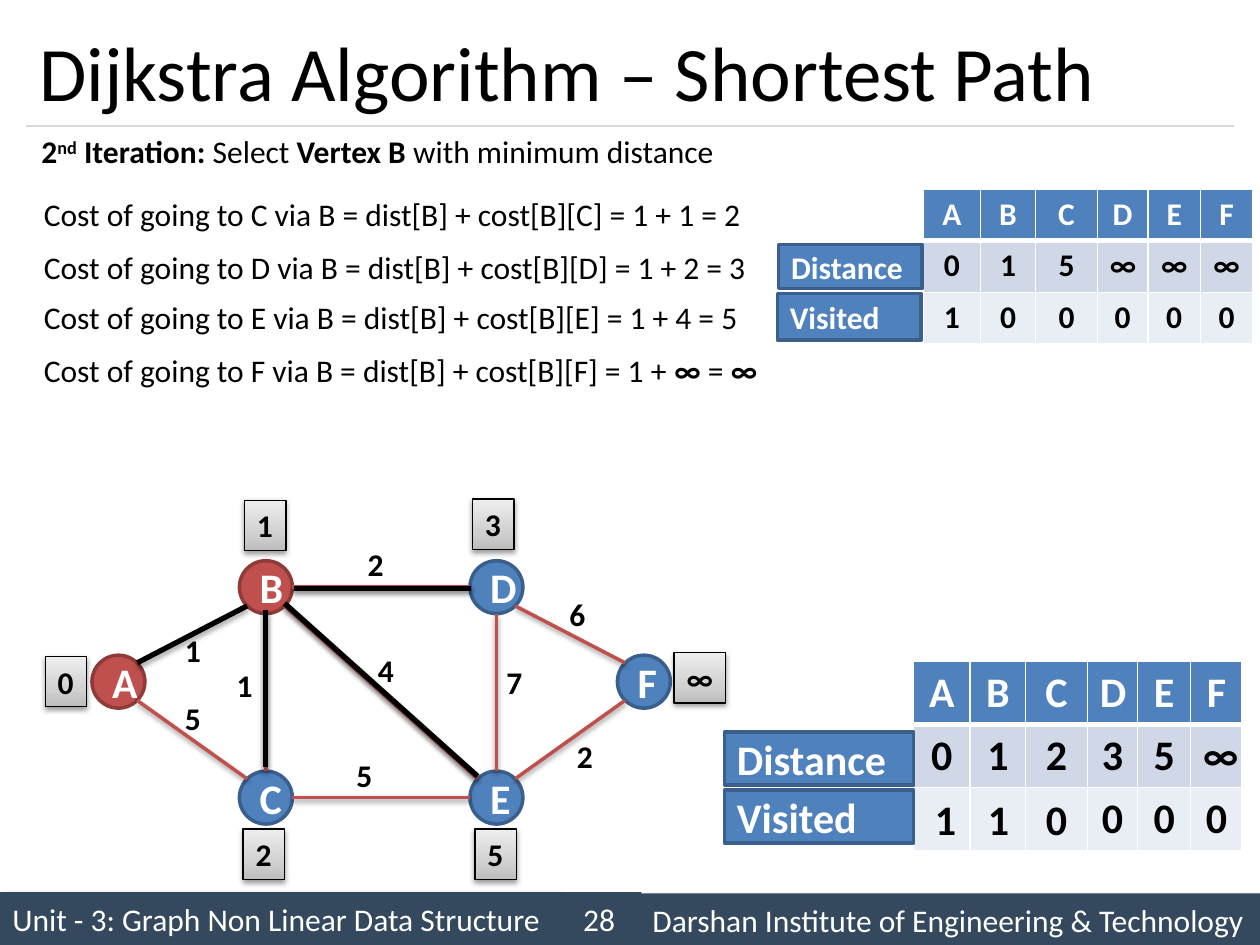
"""Build the slide on the second iteration of Dijkstra's shortest path algorithm."""
from copy import deepcopy
from dataclasses import dataclass

from lxml.etree import SubElement
from pptx import Presentation
from pptx.dml.color import RGBColor
from pptx.enum.shapes import MSO_CONNECTOR as CONN, MSO_SHAPE as SHAPE
from pptx.enum.text import MSO_ANCHOR as ANCHOR, PP_ALIGN as ALIGN
from pptx.oxml.ns import qn
from pptx.util import Inches, Pt


@dataclass(frozen=True)
class Theme:
    font: str = "Calibri"
    title: int = 44
    large: int = 24
    body: int = 18
    black: RGBColor = RGBColor(0, 0, 0)
    white: RGBColor = RGBColor(255, 255, 255)
    footer: RGBColor = RGBColor.from_string("34495E")
    rule: RGBColor = RGBColor.from_string("D9D9D9")
    blue: RGBColor = RGBColor.from_string("4F81BD")
    blue_line: RGBColor = RGBColor.from_string("3A5F8C")
    red: RGBColor = RGBColor.from_string("C0504D")
    red_line: RGBColor = RGBColor.from_string("8E3B39")
    bands: tuple = (RGBColor.from_string("D0D8E8"), RGBColor.from_string("E9EDF4"))
    greys: tuple = ((0, "BDBDBD"), (0.35, "D1D1D1"), (1, "EEEEEE"))
    footer_shadow: tuple = (40, 4, 3, 45)
    soft_shadow: tuple = (38, 3.1, 1.6, 90)
    path_shadow: tuple = (35, 3.1, 1.8, 90)


T = Theme()


def set_shadow(s, shadow=None):
    effects = SubElement(s._element.spPr, qn("a:effectLst"))
    if shadow:
        alpha, blur, dist, angle = shadow
        outer = SubElement(effects, qn("a:outerShdw"), blurRad=str(Pt(blur)),
                           dist=str(Pt(dist)), dir=str(angle * 60000), rotWithShape="0")
        colour = SubElement(outer, qn("a:srgbClr"), val="000000")
        SubElement(colour, qn("a:alpha"), val=str(alpha * 1000))


def write(tf, runs, size, colour, align=ALIGN.LEFT, anchor=None, wrap=True):
    tf.word_wrap = wrap
    if anchor is not None:
        tf.vertical_anchor = anchor
    p = tf.paragraphs[0]
    p.alignment = align
    for text, bold in runs:
        r = p.add_run()
        r.text = text
        r.font.name, r.font.size, r.font.bold = T.font, Pt(size), bold
        r.font.color.rgb = colour


prs = Presentation()
prs.slide_width, prs.slide_height = Inches(10), Inches(7.5)
slide = prs.slides.add_slide(prs.slide_layouts[5])
shapes = slide.shapes

title = shapes.title
title.left, title.top, title.width, title.height = map(Inches, (0.21, 0.12, 9.58, 0.88))
write(title.text_frame, [("Dijkstra Algorithm – Shortest Path", False)],
      T.title, T.black, anchor=ANCHOR.MIDDLE)

rule = shapes.add_connector(CONN.STRAIGHT, Inches(0.21), Inches(1), Inches(9.79), Inches(1))
rule.line.color.rgb, rule.line.width = T.rule, Pt(0.75)
set_shadow(rule)

footers = [
    ("Unit - 3: Graph Non Linear Data Structure", 0, 7.08, 4.42, ALIGN.LEFT, T.footer_shadow),
    ("Darshan Institute of Engineering & Technology", 5.08, 7.09, 4.92, ALIGN.LEFT,
     T.footer_shadow),
    ("28", 4.42, 7.08, 0.67, ALIGN.CENTER, None),
]
for text, x, y, width, align, shadow in footers:
    s = shapes.add_shape(SHAPE.RECTANGLE, Inches(x), Inches(y), Inches(width), Inches(0.42))
    s.fill.solid()
    s.fill.fore_color.rgb = T.footer
    s.line.fill.background()
    set_shadow(s, shadow)
    write(s.text_frame, [(text, False)], T.body, T.white, align, ANCHOR.MIDDLE)

radius = 0.21
nodes = {"A": (0.94, 5.41), "B": (2.11, 4.66), "C": (2.11, 6.33),
         "D": (3.94, 4.66), "E": (3.94, 6.33), "F": (5.11, 5.41)}
for name, (x, y) in nodes.items():
    fill, line = (T.red, T.red_line) if name in "AB" else (T.blue, T.blue_line)
    s = shapes.add_shape(SHAPE.OVAL, Inches(x - radius), Inches(y - radius),
                         Inches(2 * radius), Inches(2 * radius))
    s.fill.solid()
    s.fill.fore_color.rgb = fill
    s.line.color.rgb, s.line.width = line, Pt(2)
    set_shadow(s)
    write(s.text_frame, [(name, True)], T.large, T.white, ALIGN.CENTER, ANCHOR.MIDDLE)

sites = {"n": (0, -1), "s": (0, 1), "e": (1, 0), "w": (-1, 0), "ne": (0.71, -0.71),
         "nw": (-0.71, -0.71), "se": (0.71, 0.71), "sw": (-0.71, 0.71)}
plain = (T.red, 2, T.soft_shadow)
selected = (T.black, 3, T.path_shadow)
edges = [
    ("A", "ne", "B", "sw", selected, 0, 0),
    ("B", "e", "D", "w", plain, 0, 0),
    ("D", "se", "F", "nw", plain, 0, 0),
    ("A", "se", "C", "nw", plain, 0, 0),
    ("C", "e", "E", "w", plain, 0, 0),
    ("E", "ne", "F", "sw", plain, 0, 0),
    ("B", "s", "C", "n", plain, 0, 0),
    ("D", "s", "E", "n", plain, 0, 0),
    ("B", "se", "E", "nw", plain, 0, 0),
    ("B", "s", "C", "n", selected, 0, -0.03),
    ("B", "e", "D", "w", selected, 0.01, 0.01),
    ("B", "se", "E", "nw", selected, 0, -0.02),
]
for start, leave, end, enter, (colour, width, shadow), dx, dy in edges:
    ends = [Inches(nodes[node][axis] + radius * sites[site][axis] + (dx, dy)[axis])
            for node, site in ((start, leave), (end, enter)) for axis in (0, 1)]
    edge = shapes.add_connector(CONN.STRAIGHT, *ends)
    edge.line.color.rgb, edge.line.width = colour, Pt(width)
    set_shadow(edge, shadow)

weights = [("1", 1.37, 4.96), ("1", 1.78, 5.24), ("5", 1.37, 5.5), ("2", 2.82, 4.28),
           ("4", 2.9, 5.12), ("7", 3.92, 5.21), ("6", 4.42, 4.67), ("2", 4.48, 5.8),
           ("5", 2.73, 5.95)]
for text, x, y in weights:
    s = shapes.add_textbox(Inches(x), Inches(y), Inches(0.33), Inches(0.4))
    write(s.text_frame, [(text, True)], T.body, T.black, wrap=False)

distances = [("0", 0.36, 5.21, 0.33), ("1", 1.94, 3.97, 0.33), ("2", 1.93, 6.58, 0.33),
             ("3", 3.75, 3.96, 0.33), ("5", 3.77, 6.58, 0.33), ("∞", 5.35, 5.18, 0.41)]
for text, x, y, width in distances:
    s = shapes.add_shape(SHAPE.RECTANGLE, Inches(x), Inches(y), Inches(width), Inches(0.4))
    s.fill.gradient()
    s.fill.gradient_angle = 90
    first = s.fill.gradient_stops[0]._gs
    first.addnext(deepcopy(first))
    for stop, (position, grey) in zip(s.fill.gradient_stops, T.greys):
        stop.position = position
        stop.color.rgb = RGBColor.from_string(grey)
    s.line.color.rgb, s.line.width = T.black, Pt(0.75)
    set_shadow(s, T.soft_shadow)
    write(s.text_frame, [(text, True)], T.body, T.black, anchor=ANCHOR.TOP, wrap=False)

statements = [
    (0.23, 1, 5.78, [("2", True), ("nd", True), (" Iteration: ", True), ("Select ", False),
                     ("Vertex B", True), (" with minimum distance", False)]),
    (0.25, 1.5, 5.8, [("Cost of going to C via B = dist[B] + cost[B][C] = 1 + 1 = 2", False)]),
    (0.25, 1.92, 5.8, [("Cost of going to D via B = dist[B] + cost[B][D] = 1 + 2 = 3", False)]),
    (0.25, 2.32, 5.8, [("Cost of going to E via B = dist[B] + cost[B][E] = 1 + 4 = 5", False)]),
    (0.25, 2.74, 5.93, [("Cost of going to F via B = dist[B] + cost[B][F] = 1 + ", False),
                        ("∞", True), (" = ", False), ("∞", True)]),
]
for x, y, width, runs in statements:
    s = shapes.add_textbox(Inches(x), Inches(y), Inches(width), Inches(0.4))
    write(s.text_frame, runs, T.body, T.black, wrap=False)
    for r in s.text_frame.paragraphs[0].runs:
        if r.text == "nd":
            r.font._element.set("baseline", "30000")

columns = (0.45, 0.44, 0.49, 0.4, 0.42, 0.41)
tables = [
    (7.33, 1.5, 0.41, T.body, ("ABCDEF", "015∞∞∞", "100000")),
    (7.25, 5.25, 0.5, T.large, ("ABCDEF", "01235∞", ["", "", "", "0", "0", "0"])),
]
for x, y, height, size, rows in tables:
    table = shapes.add_table(len(rows), len(columns), Inches(x), Inches(y),
                             Inches(sum(columns)), Inches(height * len(rows))).table
    for column, width in zip(table.columns, columns):
        column.width = Inches(width)
    for i, values in enumerate(rows):
        table.rows[i].height = Inches(height)
        for j, value in enumerate(values):
            cell = table.cell(i, j)
            tc_pr = cell._tc.get_or_add_tcPr()
            for side in "LRTB":
                thick = (i, side) in ((0, "B"), (1, "T"))
                ln = SubElement(tc_pr, qn(f"a:ln{side}"), w=str(Pt(3 if thick else 1)))
                SubElement(SubElement(ln, qn("a:solidFill")), qn("a:srgbClr"), val=str(T.white))
            cell.fill.solid()
            cell.fill.fore_color.rgb = T.bands[i - 1] if i else T.blue
            cell.text_frame.paragraphs[0].font.size = Pt(size)
            if value:
                write(cell.text_frame, [(value, True)], size, T.black if i else T.white,
                      ALIGN.CENTER)

row_labels = [("Distance", 6.18, 1.94, 1.14, 0.35, T.body),
              ("Visited", 6.17, 2.33, 1.14, 0.37, T.body),
              ("Distance", 5.75, 5.81, 1.5, 0.42, T.large),
              ("Visited", 5.75, 6.27, 1.5, 0.42, T.large)]
for text, x, y, width, height, size in row_labels:
    s = shapes.add_shape(SHAPE.RECTANGLE, Inches(x), Inches(y), Inches(width), Inches(height))
    s.fill.solid()
    s.fill.fore_color.rgb = T.blue
    s.line.color.rgb, s.line.width = T.blue_line, Pt(2)
    set_shadow(s)
    write(s.text_frame, [(text, True)], size, T.white, anchor=ANCHOR.MIDDLE)

for text, x in (("1", 7.32), ("1", 7.74), ("0", 8.2)):
    s = shapes.add_textbox(Inches(x), Inches(6.25), Inches(0.37), Inches(0.5))
    write(s.text_frame, [(text, True)], T.large, T.black, ALIGN.CENTER, wrap=False)

prs.save("out.pptx")
